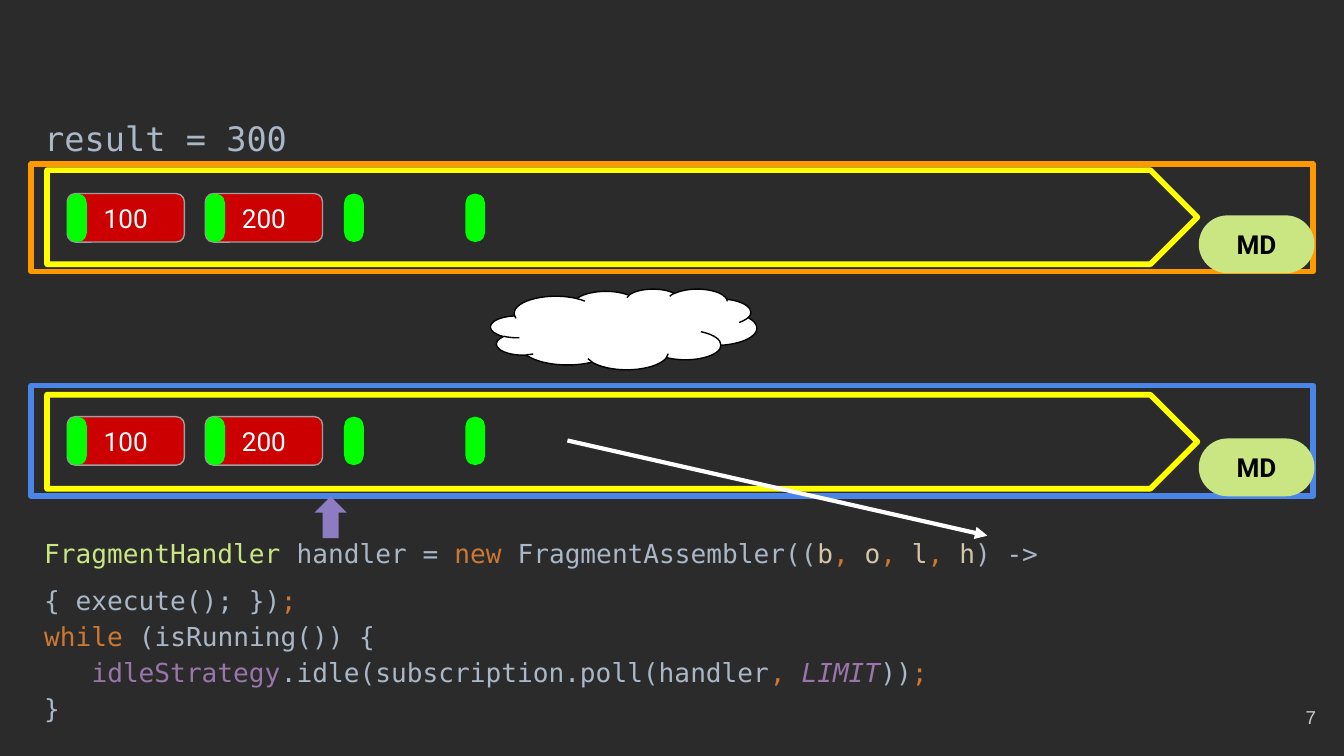
import pptx
import pptx.util
import pptx.dml.color
import pptx.enum.shapes
import pptx.enum.text
import pptx.oxml

Pt = pptx.util.Pt
KIND = pptx.enum.shapes.MSO_SHAPE
ALIGN = pptx.enum.text.PP_ALIGN
MONO = "DejaVu Sans Mono"
GREY, ORANGE, SAND, PURPLE, LIME = "A9B7C6", "CC7832", "D4C4A9", "9876AA", "CAE682"


def color(text):
    return pptx.dml.color.RGBColor.from_string(text)


def draw(kind, box, fill=None, line=None, width=0.75, adj=None, label=None, ink="FFFFFF"):
    """Add a shape, or a plain text box when kind is None."""
    place = [Pt(v) for v in box]
    if kind is None:
        shape = slide.shapes.add_textbox(*place)
    else:
        shape = slide.shapes.add_shape(kind, *place)
        shape.shadow.inherit = False
        if adj is not None:
            shape.adjustments[0] = adj
        if fill:
            shape.fill.solid()
            shape.fill.fore_color.rgb = color(fill)
        else:
            shape.fill.background()
        if line:
            shape.line.color.rgb = color(line)
            shape.line.width = Pt(width)
        else:
            shape.line.fill.background()
    frame = shape.text_frame
    frame.word_wrap = True
    frame.margin_left = frame.margin_right = Pt(7.2)
    frame.margin_top = frame.margin_bottom = Pt(7.2)
    if label:
        frame.text = label
        frame.vertical_anchor = pptx.enum.text.MSO_ANCHOR.MIDDLE
        frame.paragraphs[0].alignment = ALIGN.CENTER
        font = frame.paragraphs[0].runs[0].font
        font.name, font.size, font.color.rgb = "Roboto", Pt(14), color(ink)
    return shape


# Slide
deck = pptx.Presentation()
deck.slide_width, deck.slide_height = Pt(720), Pt(405)
slide = deck.slides.add_slide(deck.slide_layouts[6])
slide.background.fill.solid()
slide.background.fill.fore_color.rgb = color("2B2B2B")

# Two lanes: frame top, frame height, frame color, pipe top, card top
lanes = [
    (87.8, 57.6, "FF9900", 91.2, 103.7),
    (206.6, 59, "4A86E8", 211.5, 223.2),
]
for top, high, edge, pipe, card in lanes:
    draw(KIND.PENTAGON, (25.2, pipe, 616.3, 50.4), line="FFFF00", width=3, adj=0.5)
    draw(KIND.FLOWCHART_PROCESS, (16.6, top, 686.9, high), line=edge, width=3)
    for left, value in ((36, "100"), (110, "200")):
        draw(KIND.ROUNDED_RECTANGLE, (left, card, 62.8, 26), "CC0000", "9E9E9E",
             adj=0.167, label=value)
    for left in (36, 110, 184.3, 249.3):
        draw(KIND.ROUNDED_RECTANGLE, (left, card, 10.6, 26), "00FF00", adj=0.5)
    badge = draw(KIND.ROUNDED_RECTANGLE, (642.2, card + 11.7, 62, 31), LIME,
                 adj=0.5, label="MD", ink="000000")
    badge.text_frame.paragraphs[0].runs[0].font.bold = True

# Cloud and read position
draw(KIND.CLOUD, (262.8, 154.8, 142.6, 43.2), "FFFFFF", "000000")
draw(KIND.UP_ARROW, (168.5, 266, 17.3, 22.3), "8E7CC3", adj=0.5)

# Result line
title = draw(None, (16.6, 52.6, 445, 31), label="result = 300", ink=GREY)
title.text_frame.vertical_anchor = pptx.enum.text.MSO_ANCHOR.TOP
para = title.text_frame.paragraphs[0]
para.alignment, para.line_spacing = ALIGN.LEFT, 1.15
para.runs[0].font.name, para.runs[0].font.size = MONO, Pt(18)

# Code, with "\n" as a break inside a paragraph
code = [
    [("FragmentHandler ", LIME), ("handler = ", GREY), ("new ", ORANGE),
     ("FragmentAssembler((", GREY), ("b", SAND), (", ", ORANGE), ("o", SAND),
     (", ", ORANGE), ("l", SAND), (", ", ORANGE), ("h", SAND), (") ->", GREY),
     ("\n", GREY), ("{ execute(); })", GREY), (";", ORANGE)],
    [("while ", ORANGE), ("(isRunning()) {", GREY)],
    [("   ", ORANGE), ("idleStrategy", PURPLE),
     (".idle(subscription.poll(handler", GREY), (", ", ORANGE),
     ("LIMIT", PURPLE), ("))", GREY), (";", ORANGE)],
    [("}", GREY)],
]
frame = draw(None, (16.6, 272.2, 686.9, 103)).text_frame
for row, parts in enumerate(code):
    para = frame.add_paragraph() if row else frame.paragraphs[0]
    para.line_spacing = 1.15 if row else 1.5
    for text, ink in parts:
        if text == "\n":
            para.add_line_break()
            continue
        run = para.add_run()
        run.text = text
        run.font.name, run.font.size = MONO, Pt(14)
        run.font.color.rgb = color(ink)
        run.font.italic = text == "LIMIT"

# Arrow from the lane to the handler
arrow = slide.shapes.add_connector(pptx.enum.shapes.MSO_CONNECTOR.STRAIGHT,
                                   Pt(304), Pt(236), Pt(529), Pt(287))
arrow.line.color.rgb = color("FFFFFF")
arrow.line.width = Pt(2.25)
head = pptx.oxml.parse_xml(
    '<a:tailEnd xmlns:a="http://schemas.openxmlformats.org/drawingml/2006/main"'
    ' type="triangle"/>')
arrow.line._get_or_add_ln().append(head)
arrow._element.spPr.append(pptx.oxml.parse_xml(
    '<a:effectLst xmlns:a="http://schemas.openxmlformats.org/drawingml/2006/main"/>'))

# Page number
page = draw(None, (668.9, 368.6, 43.2, 31), label="7", ink="CACACA")
para = page.text_frame.paragraphs[0]
para.alignment = ALIGN.RIGHT
para.runs[0].font.name, para.runs[0].font.size = "Arial", Pt(10)

deck.save("out.pptx")
